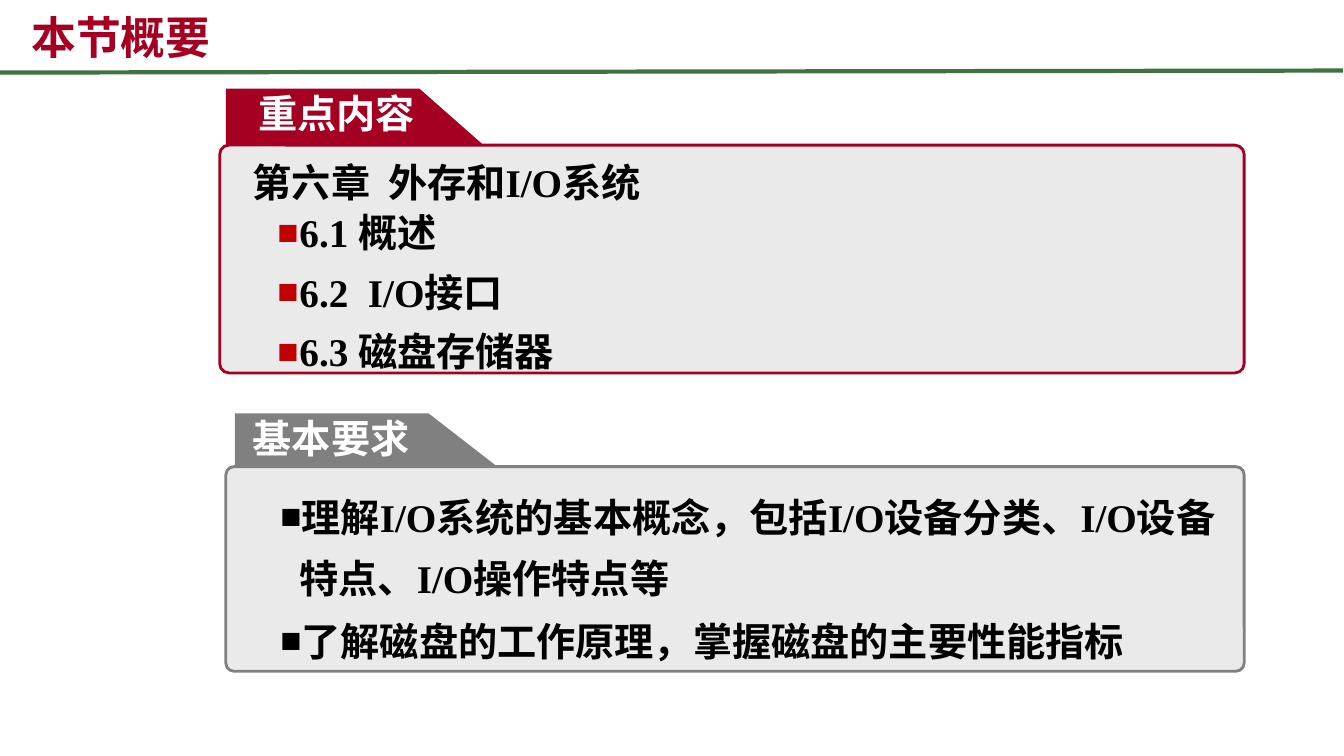
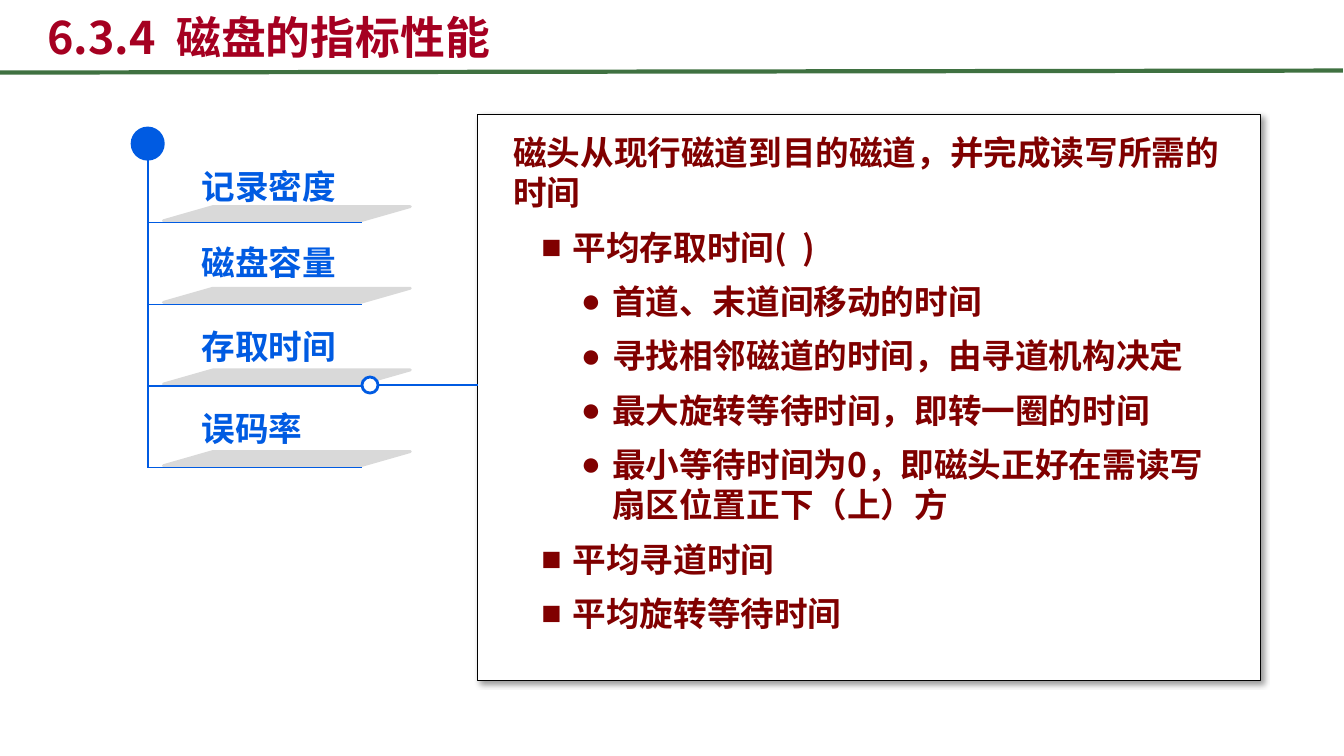
from lxml import etree
from pptx import Presentation
from pptx.dml.color import RGBColor
from pptx.enum.shapes import MSO_CONNECTOR, MSO_SHAPE
from pptx.enum.text import MSO_ANCHOR as ANCHOR, MSO_AUTO_SIZE as AUTO, PP_ALIGN as ALIGN
from pptx.oxml.ns import qn
from pptx.util import Pt

PX = 9144
SANS, SERIF, LATIN = "Noto Sans CJK SC", "Times New Roman", "Arial"
COLORS = {
    "crimson": "A50021", "green": "3F7141", "gray": "808080", "panel": "EAEAEA",
    "white": "FFFFFF", "black": "000000", "bullet": "C00000", "blue": "005BE2",
    "slab": "D9D9D9", "maroon": "800000",
}


def px(*values):
    """Turn px lengths into EMU."""
    return [round(v * PX) for v in values]


def rgb(name):
    """Look up a named colour."""
    return RGBColor.from_string(COLORS[name])


def child(parent, tag, **attrs):
    """Append a DrawingML element to a parent."""
    return etree.SubElement(parent, qn(tag), {k: str(v) for k, v in attrs.items()})


def style_shape(sp, fill, line=None, width=2):
    """Give a shape its fill and outline, without a shadow."""
    sp.shadow.inherit = False
    sp.fill.solid()
    sp.fill.fore_color.rgb = rgb(fill)
    if line:
        sp.line.color.rgb = rgb(line)
        sp.line.width = Pt(width)
    else:
        sp.line.fill.background()
    return sp


def add_shape(slide, kind, box, fill, line=None, width=2):
    """Draw a preset shape."""
    return style_shape(slide.shapes.add_shape(kind, *px(*box)), fill, line, width)


def add_line(slide, start, end, color="blue", width=1):
    """Draw a straight line."""
    cxn = slide.shapes.add_connector(MSO_CONNECTOR.STRAIGHT, *px(*start, *end))
    cxn.line.color.rgb = rgb(color)
    cxn.line.width = Pt(width)
    child(cxn._element.spPr, "a:effectLst")
    return cxn


def add_run(p, text, size, color, font):
    """Add one bold run to a paragraph."""
    r = p.add_run()
    r.text = text
    r.font.size, r.font.bold, r.font.name = Pt(size), True, font
    r.font.color.rgb = rgb(color)
    child(r._r.get_or_add_rPr(), "a:ea", typeface=SANS)


def set_frame(tf, inset=(10, 5), anchor=ANCHOR.TOP):
    """Set wrapping, insets and anchor of a text frame."""
    tf.word_wrap, tf.auto_size, tf.vertical_anchor = True, AUTO.NONE, anchor
    tf.margin_left = tf.margin_right = px(inset[0])[0]
    tf.margin_top = tf.margin_bottom = px(inset[1])[0]


def add_label(slide, box, text, size, color, font, inset=(10, 5), align=ALIGN.LEFT, spacing=None):
    """Add a one-line text box."""
    tf = slide.shapes.add_textbox(*px(*box)).text_frame
    set_frame(tf, inset)
    p = tf.paragraphs[0]
    p.alignment, p.line_spacing = align, spacing
    add_run(p, text, size, color, font)


def place(slide, sp, box):
    """Move a placeholder into its box and to the front."""
    sp.left, sp.top, sp.width, sp.height = px(*box)
    slide.shapes._spTree.append(sp._element)


def set_title(slide, text, left):
    """Fill the title placeholder."""
    sp = slide.shapes.title
    place(slide, sp, (left, 4, 1138, 64))
    set_frame(sp.text_frame, anchor=ANCHOR.BOTTOM)
    p = sp.text_frame.paragraphs[0]
    p.alignment = ALIGN.LEFT
    add_run(p, text, 32, "crimson", SANS)


def set_bullet(p, char, margin, hang, color=None, percent=100):
    """Give a paragraph its indent and bullet."""
    pPr = p._p.get_or_add_pPr()
    pPr.set("marL", str(margin * PX))
    pPr.set("indent", str(-hang * PX))
    if not char:
        child(pPr, "a:buNone")
        return
    if color:
        child(child(pPr, "a:buClr"), "a:srgbClr", val=COLORS[color])
    child(pPr, "a:buSzPct", val=percent * 1000)
    child(pPr, "a:buFont", typeface=LATIN)
    child(pPr, "a:buChar", char=char)


def set_list(slide, idx, box, items, levels, size, color, font, gap, spacing=1.0, inset=(10, 5)):
    """Fill a body placeholder with (level, text) items."""
    sp = slide.placeholders[idx]
    place(slide, sp, box)
    tf = sp.text_frame
    set_frame(tf, inset)
    for i, (level, text) in enumerate(items):
        p = tf.add_paragraph() if i else tf.paragraphs[0]
        p.level = level
        set_bullet(p, **levels[level])
        p.line_spacing, p.space_before = spacing, Pt(gap if i else 0)
        add_run(p, text, size, color, font)


def add_panel(slide, tab, box, color):
    """Draw a rounded panel under a slanted tab."""
    left, top, height = tab
    outline = [(left + 192, top), (left + 268, top + height), (left, top + height)]
    fb = slide.shapes.build_freeform(left, top, scale=PX)
    fb.add_line_segments(outline, close=True)
    style_shape(fb.convert_to_shape(), color)
    sp = add_shape(slide, MSO_SHAPE.ROUNDED_RECTANGLE, box, "panel", color)
    sp.adjustments[0] = 0.04


def add_shadow(sp):
    """Give a shape a soft shadow to the lower right."""
    effects = sp._element.spPr.find(qn("a:effectLst"))
    shadow = child(effects, "a:outerShdw", blurRad=Pt(4), dist=Pt(3), dir=45 * 60000,
                   algn="tl", rotWithShape=0)
    child(child(shadow, "a:srgbClr", val=COLORS["black"]), "a:alpha", val=40000)


def add_branch(slide, text, label_top, rule_top):
    """Draw one branch of the tree: slab, rule and label."""
    add_shape(slide, MSO_SHAPE.FLOWCHART_DATA, (162, rule_top - 16, 245, 14), "slab", "slab")
    add_line(slide, (359, rule_top), (147, rule_top))
    add_label(slide, (200, label_top, 168, 40), text, 24, "blue", SANS, inset=(0, 0))


def add_master_rule(prs, slide):
    """Put the green rule under the titles on the master."""
    rule = add_line(slide, (0, 72), (1332, 70), "green", 3)
    prs.slide_master.shapes._spTree.append(rule._element)


def build_overview(slide):
    """Build the section overview."""
    set_title(slide, "本节概要", 21)
    add_panel(slide, (224, 88, 67), (218, 144, 1016, 226), "crimson")
    add_label(slide, (238, 84, 192, 57), "重点内容", 28, "white", LATIN, align=ALIGN.CENTER)
    add_label(slide, (241, 147, 683, 59), "第六章  外存和I/O系统", 28, "black", SERIF, spacing=1.1)
    set_list(slide, 1, (237, 202, 851, 177),
             [(1, "6.1 概述"), (1, "6.2  I/O接口"), (1, "6.3 磁盘存储器")],
             {1: dict(char="■", margin=50, hang=22, color="bullet", percent=90)},
             28, "black", SERIF, gap=8.9)
    add_panel(slide, (233, 410, 59), (224, 463, 1010, 203), "gray")
    add_label(slide, (241, 406, 176, 57), "基本要求", 28, "white", LATIN)
    set_list(slide, 2, (268, 470, 965, 191),
             [(0, "理解I/O系统的基本概念，包括I/O设备分类、I/O设备特点、I/O操作特点等"),
              (0, "了解磁盘的工作原理，掌握磁盘的主要性能指标")],
             {0: dict(char="■", margin=19, hang=19, percent=90)},
             28, "black", SERIF, gap=1.4, spacing=1.3)


def build_metrics(slide):
    """Build the disk metrics tree and its detail card."""
    set_title(slide, "6.3.4  磁盘的指标性能", 37)
    add_shadow(add_shape(slide, MSO_SHAPE.RECTANGLE, (474, 114, 776, 561), "white", "black", 0.75))
    add_line(slide, (147, 158), (147, 464))
    add_shape(slide, MSO_SHAPE.FLOWCHART_CONNECTOR, (131, 127, 31, 31), "blue", "blue")
    branches = [("记录密度", 165), ("磁盘容量", 240), ("存取时间", 323), ("误码率", 405)]
    for i, (text, label_top) in enumerate(branches):
        add_branch(slide, text, label_top, 221 + 81 * i)
    add_line(slide, (474, 382), (371, 382))
    add_shape(slide, MSO_SHAPE.FLOWCHART_CONNECTOR, (359, 374, 16, 16), "white", "blue")
    set_list(slide, 1, (509, 131, 702, 502),
             [(0, "磁头从现行磁道到目的磁道，并完成读写所需的时间"),
              (1, "平均存取时间(  )"),
              (2, "首道、末道间移动的时间"),
              (2, "寻找相邻磁道的时间，由寻道机构决定"),
              (2, "最大旋转等待时间，即转一圈的时间"),
              (2, "最小等待时间为0，即磁头正好在需读写扇区位置正下（上）方"),
              (1, "平均寻道时间"),
              (1, "平均旋转等待时间")],
             {0: dict(char=None, margin=0, hang=0),
              1: dict(char="■", margin=59, hang=31),
              2: dict(char="●", margin=98, hang=31)},
             24, "maroon", SANS, gap=10, inset=(0, 0))


def main():
    """Build and save the presentation."""
    prs = Presentation()
    prs.slide_width, prs.slide_height = px(1333, 750)
    overview = prs.slides.add_slide(prs.slide_layouts[3])
    metrics = prs.slides.add_slide(prs.slide_layouts[1])
    add_master_rule(prs, overview)
    build_overview(overview)
    build_metrics(metrics)
    prs.save("out.pptx")


if __name__ == "__main__":
    main()
